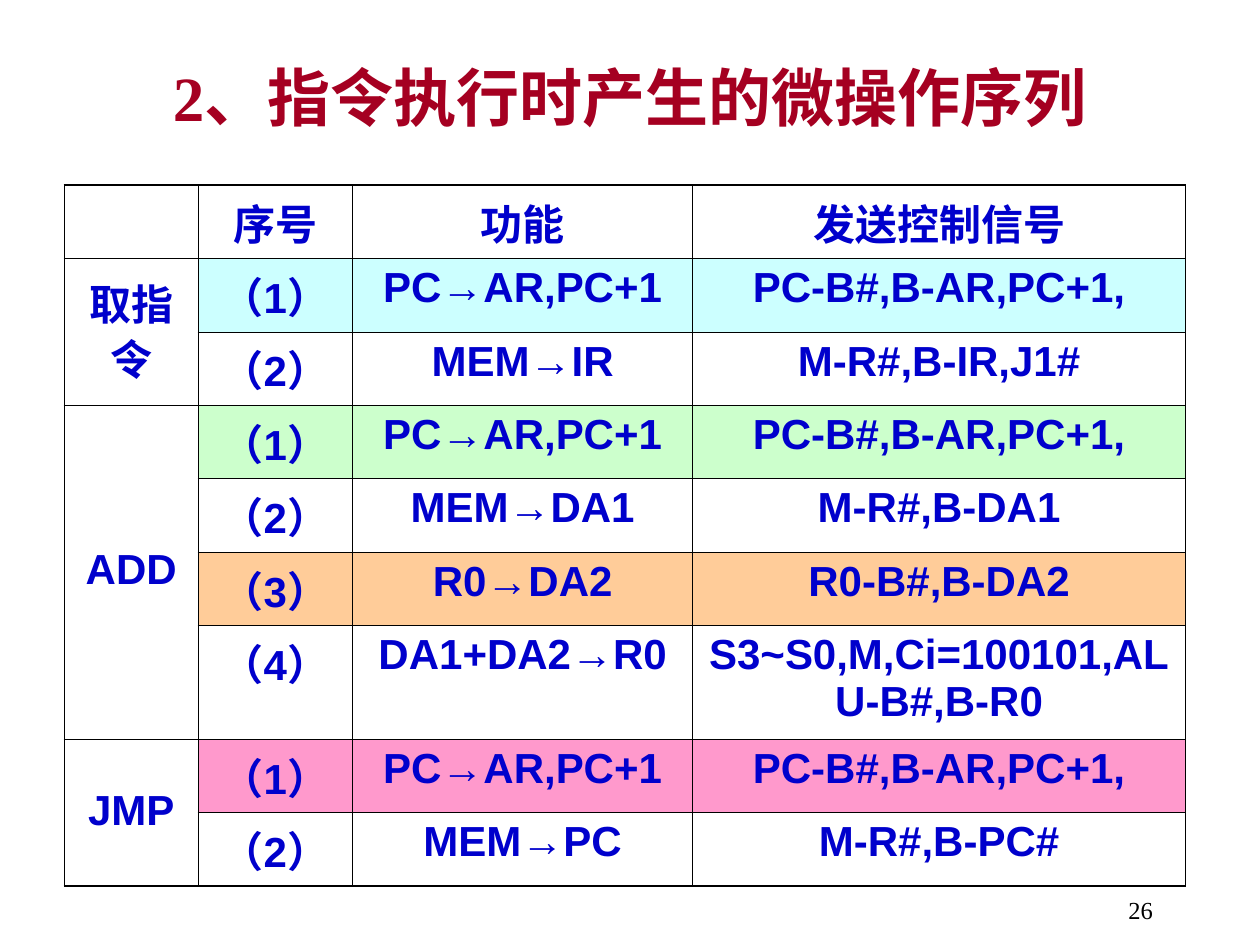
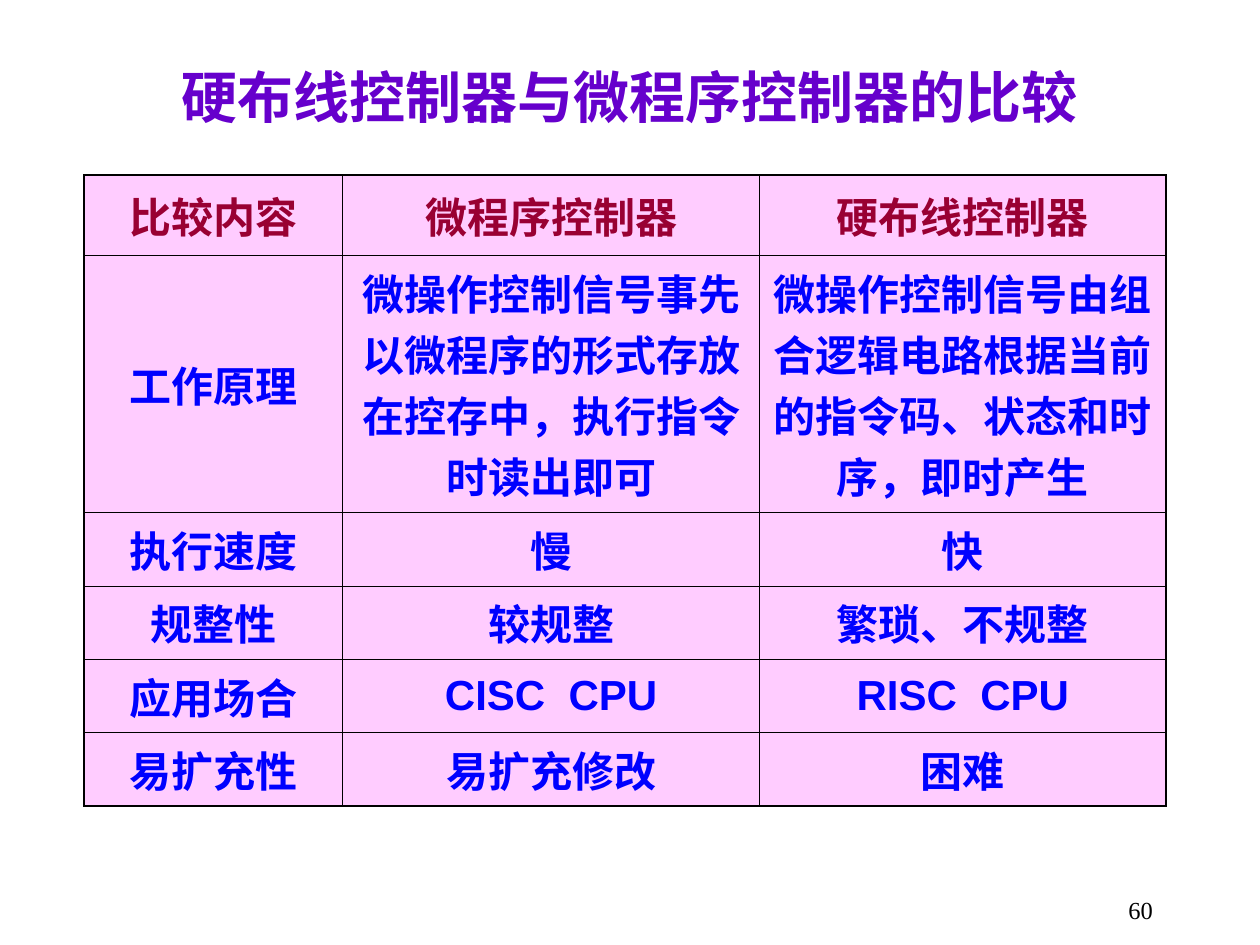
from dataclasses import dataclass, field

import pptx
import pptx.dml.color
import pptx.enum.text
import pptx.oxml
import pptx.oxml.ns
import pptx.util
from pptx.util import Cm

ALIGN = pptx.enum.text.PP_ALIGN
ANCHOR = pptx.enum.text.MSO_ANCHOR
LINE_ROW = 1.48  # height of a one-line row, cm


@dataclass(frozen=True)
class TextStyle:
    size: int
    color: str
    font: str = "Arial"
    bold: bool = True
    align: ALIGN = ALIGN.CENTER


@dataclass(frozen=True)
class Theme:
    east_asian: str = "Noto Sans CJK SC"
    border: str = "000000"
    inner_line: float = 0.45
    outer_line: float = 1.08
    fetch: str = "CCFFFF"
    add: str = "CCFFCC"
    operand: str = "FFCC99"
    jump: str = "FF99CC"
    comparison: str = "FFCCFF"
    red_title: TextStyle = TextStyle(36, "A50021", "Times New Roman")
    purple_title: TextStyle = TextStyle(32, "6600CC", "Noto Sans CJK SC")
    number: TextStyle = TextStyle(14, "000000", "Times New Roman", False, ALIGN.RIGHT)
    micro_op: TextStyle = TextStyle(24, "0000CC")
    heading: TextStyle = TextStyle(24, "990033")
    body: TextStyle = TextStyle(24, "0000FF")


THEME = Theme()


@dataclass(frozen=True)
class Grid:
    """Table content and geometry in centimetres; spans maps a first row to its row count."""
    left: float
    top: float
    columns: list[float]
    heights: list[float]
    rows: list[list[str]]
    fills: list[str | None]
    header: TextStyle
    body: TextStyle
    anchor: ANCHOR
    spans: dict[int, int] = field(default_factory=dict)


@dataclass(frozen=True)
class Page:
    title: str
    title_style: TextStyle
    number: str
    grid: Grid


MICRO_OPS = Grid(
    left=1.3, top=3.73,
    columns=[2.69, 3.12, 6.85, 9.94],
    heights=[LINE_ROW] * 6 + [2.29] + [LINE_ROW] * 2,
    rows=[
        ["", "序号", "功能", "发送控制信号"],
        ["取指令", "（1）", "PC→AR,PC+1", "PC-B#,B-AR,PC+1,"],
        ["", "（2）", "MEM→IR", "M-R#,B-IR,J1#"],
        ["ADD", "（1）", "PC→AR,PC+1", "PC-B#,B-AR,PC+1,"],
        ["", "（2）", "MEM→DA1", "M-R#,B-DA1"],
        ["", "（3）", "R0→DA2", "R0-B#,B-DA2"],
        ["", "（4）", "DA1+DA2→R0", "S3~S0,M,Ci=100101,ALU-B#,B-R0"],
        ["JMP", "（1）", "PC→AR,PC+1", "PC-B#,B-AR,PC+1,"],
        ["", "（2）", "MEM→PC", "M-R#,B-PC#"],
    ],
    fills=[None, THEME.fetch, None, THEME.add, None, THEME.operand, None, THEME.jump, None],
    header=THEME.micro_op, body=THEME.micro_op, anchor=ANCHOR.TOP,
    spans={1: 2, 3: 4, 7: 2},
)

COMPARISON = Grid(
    left=1.7, top=3.53,
    columns=[5.21, 8.4, 8.2],
    heights=[1.62, 5.18] + [LINE_ROW] * 4,
    rows=[
        ["比较内容", "微程序控制器", "硬布线控制器"],
        ["工作原理", "微操作控制信号事先以微程序的形式存放在控存中，执行指令时读出即可",
         "微操作控制信号由组合逻辑电路根据当前的指令码、状态和时序，即时产生"],
        ["执行速度", "慢", "快"],
        ["规整性", "较规整", "繁琐、不规整"],
        ["应用场合", "CISC  CPU", "RISC  CPU"],
        ["易扩充性", "易扩充修改", "困难"],
    ],
    fills=[THEME.comparison] * 6,
    header=THEME.heading, body=THEME.body, anchor=ANCHOR.MIDDLE,
)

PAGES = [
    Page("2、指令执行时产生的微操作序列", THEME.red_title, "26", MICRO_OPS),
    Page("硬布线控制器与微程序控制器的比较", THEME.purple_title, "60", COMPARISON),
]


def rgb(value: str) -> pptx.dml.color.RGBColor:
    return pptx.dml.color.RGBColor.from_string(value)


def write(tf: pptx.text.text.TextFrame, text: str, style: TextStyle):
    p = tf.paragraphs[0]
    p.text = text
    p.alignment = style.align
    font = p.font
    font.size = pptx.util.Pt(style.size)
    font.bold = style.bold
    font.name = style.font
    font.color.rgb = rgb(style.color)
    ea = pptx.oxml.parse_xml(
        f'<a:ea {pptx.oxml.ns.nsdecls("a")} typeface="{THEME.east_asian}"/>')
    font._element.append(ea)
    return p


def add_text(s, left: float, top: float, width: float, height: float,
             text: str, style: TextStyle, anchor: ANCHOR) -> None:
    tf = s.shapes.add_textbox(Cm(left), Cm(top), Cm(width), Cm(height)).text_frame
    tf.word_wrap = True
    tf.vertical_anchor = anchor
    write(tf, text, style)


def set_borders(cell, outer_sides: dict[str, bool]) -> None:
    """Draw the four cell borders, heavier on the sides at the table's edge."""
    tc_pr = cell._tc.get_or_add_tcPr()
    for side, outer in outer_sides.items():
        width = pptx.util.Pt(THEME.outer_line if outer else THEME.inner_line)
        tc_pr.append(pptx.oxml.parse_xml(
            f'<a:ln{side} {pptx.oxml.ns.nsdecls("a")} w="{int(width)}">'
            f'<a:solidFill><a:srgbClr val="{THEME.border}"/></a:solidFill></a:ln{side}>'))


def add_grid(s, grid: Grid) -> None:
    n_rows, n_cols = len(grid.rows), len(grid.columns)
    table = s.shapes.add_table(n_rows, n_cols, Cm(grid.left), Cm(grid.top),
                               Cm(sum(grid.columns)), Cm(sum(grid.heights))).table
    table.first_row = table.horz_banding = False
    for column, width in zip(table.columns, grid.columns):
        column.width = Cm(width)
    for row, height in zip(table.rows, grid.heights):
        row.height = Cm(height)
    for i, texts in enumerate(grid.rows):
        for j, text in enumerate(texts):
            cell = table.cell(i, j)
            is_label = j == 0 and i in grid.spans
            set_borders(cell, {"L": j == 0, "R": j == n_cols - 1,
                               "T": i == 0,
                               "B": i + (grid.spans.get(i, 1) if j == 0 else 1) == n_rows})
            if grid.fills[i] and not (grid.spans and j == 0):
                cell.fill.solid()
                cell.fill.fore_color.rgb = rgb(grid.fills[i])
            else:
                cell.fill.background()
            cell.vertical_anchor = ANCHOR.MIDDLE if is_label else grid.anchor
            if text.startswith("（"):  # step numbers nearly fill their column
                cell.margin_left = cell.margin_right = Cm(0.15)
            p = write(cell.text_frame, text, grid.body if i else grid.header)
            if is_label:
                p.line_spacing = 0.9
                p.space_after = pptx.util.Pt(6)
    for first, count in grid.spans.items():
        table.cell(first, 0).merge(table.cell(first + count - 1, 0))


def add_page(prs, page: Page) -> None:
    s = prs.slides.add_slide(prs.slide_layouts[6])
    add_text(s, 18.21, 17.91, 5.28, 0.71, page.number, THEME.number, ANCHOR.TOP)
    add_text(s, 1.9, 0.93, 21.59, 2.03, page.title, page.title_style, ANCHOR.MIDDLE)
    add_grid(s, page.grid)


def main() -> None:
    prs = pptx.Presentation()
    prs.slide_width, prs.slide_height = Cm(25.4), Cm(19.05)
    for page in PAGES:
        add_page(prs, page)
    prs.save("out.pptx")


if __name__ == "__main__":
    main()
